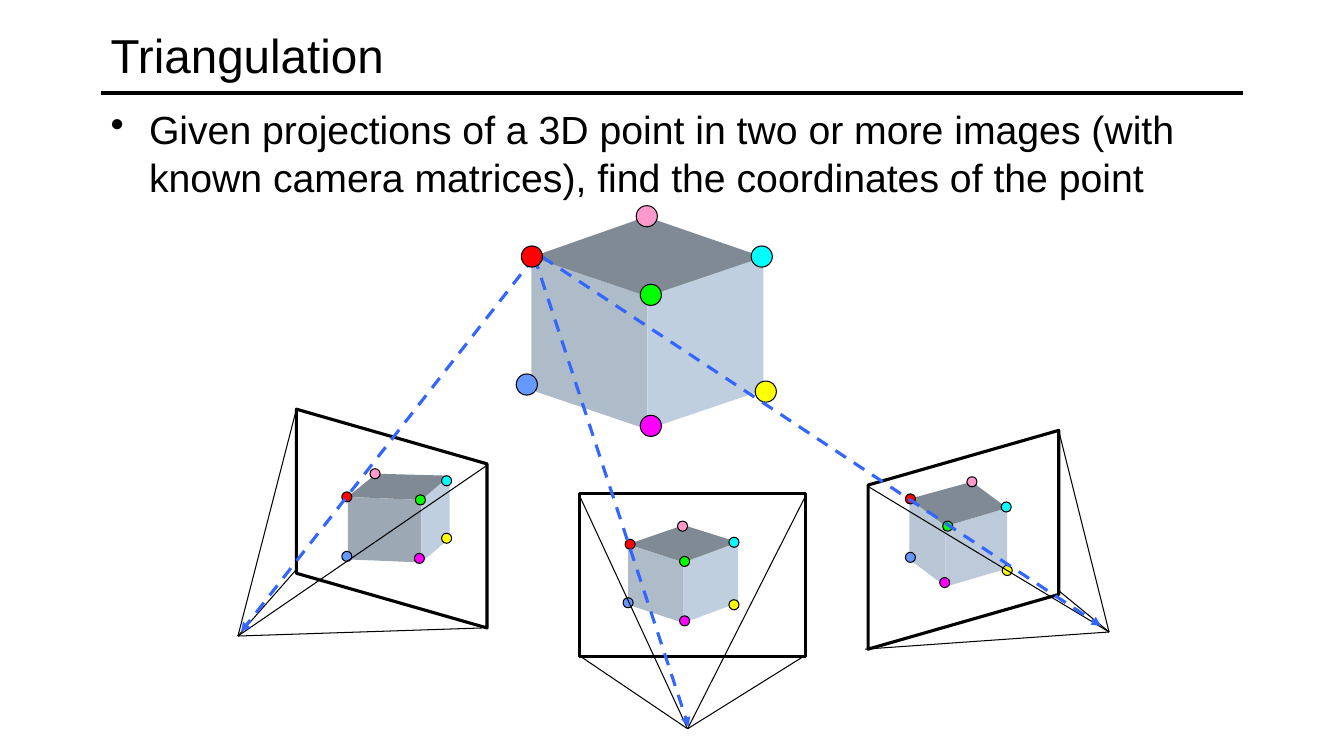
from dataclasses import dataclass
from typing import Any

from lxml.etree import SubElement
from pptx import Presentation
from pptx.dml.color import RGBColor
from pptx.enum.dml import MSO_LINE
from pptx.enum.shapes import MSO_CONNECTOR as Connector, MSO_SHAPE as Preset
from pptx.enum.text import MSO_ANCHOR as Anchor
from pptx.oxml.ns import qn
from pptx.util import Cm, Pt

Point = tuple[float, float]


@dataclass(frozen=True)
class Theme:
    font: str = "Arial"
    title_size: float = 34
    body_size: float = 28
    black: str = "000000"
    ray: str = "3366FF"
    cube_top: str = "808A94"
    # red, green, blue, magenta, yellow, cyan, pink
    corners: tuple[str, ...] = ("FF0101", "00FF00", "6699FF", "FF00FF",
                                "FFFF00", "00FFFF", "FF99CC")
    thin: float = 0.75
    medium: float = 2.25
    thick: float = 3


@dataclass(frozen=True)
class Cube:
    """Corners of the top face, height of the sides and their colours."""
    red: Point
    pink: Point
    cyan: Point
    green: Point
    height: float
    left_color: str
    right_color: str


@dataclass(frozen=True)
class Frame:
    preset: Any
    box: tuple[float, float, float, float]
    rotation: float = 0
    flipped: bool = False


@dataclass(frozen=True)
class Camera:
    frame: Frame
    cube: Cube
    center: Point
    sight_lines: tuple[Point, ...]  # frame corners behind the dots
    front_line: Point               # frame corner in front of the dots
    dots: tuple[Point, ...]
    ray: tuple[Point, Point]


THEME = Theme()
DOT, BIG_DOT = 0.1, 0.21
RED_POINT = (5.17, 2.44)
SCENE_CUBE = Cube((5.27, 2.55), (6.41, 2.15), (7.57, 2.55), (6.42, 2.94), 1.32,
                  "AEBBC9", "C0CFDF")
SCENE_DOTS = ((6.35, 2.82), (5.12, 3.71), (6.35, 4.12), (7.49, 3.78),
              (7.45, 2.44), (6.31, 2.04))
CAMERAS = (
    Camera(Frame(Preset.PARALLELOGRAM, (2.8, 4.2, 2.17, 1.89), 90),
           Cube((3.45, 4.93), (3.73, 4.7), (4.46, 4.72), (4.18, 4.96), 0.62,
                "9CA8B4", "C0CFDF"),
           (2.36, 6.31), ((2.94, 4.06), (2.94, 5.65), (4.78, 6.23)), (4.84, 4.61),
           ((3.39, 4.88), (4.12, 4.91), (3.39, 5.47), (4.11, 5.49),
            (4.38, 5.29), (4.38, 4.72), (3.67, 4.65)),
           ((5.3, 2.55), (2.39, 6.27))),
    Camera(Frame(Preset.RECTANGLE, (5.75, 4.9, 2.24, 1.61)),
           Cube((6.23, 5.4), (6.78, 5.21), (7.32, 5.38), (6.78, 5.58), 0.6,
                "AEBBC9", "C0CFDF"),
           (6.82, 7.23), ((7.99, 4.92), (5.74, 6.5), (7.99, 6.5)), (5.74, 4.9),
           ((6.2, 5.35), (6.74, 5.52), (6.18, 5.93), (6.74, 6.11),
            (7.23, 5.95), (7.23, 5.33), (6.72, 5.17)),
           ((5.3, 2.55), (6.83, 7.21))),
    Camera(Frame(Preset.PARALLELOGRAM, (8.47, 4.41, 2.17, 1.89), 270, True),
           Cube((9.02, 4.95), (9.64, 4.78), (9.99, 5.04), (9.38, 5.22), 0.6,
                "B8C6D5", "BCCAD9"),
           (11, 6.27), ((8.58, 6.44), (10.5, 5.86), (10.5, 4.27)), (8.6, 4.82),
           ((8.98, 4.9), (9.35, 5.17), (8.98, 5.48), (9.32, 5.73),
            (9.94, 5.61), (9.93, 4.98), (9.59, 4.73)),
           ((5.38, 2.55), (10.92, 6.21))),
)


def length(inches: float) -> Cm:
    return Cm(inches * 2.54)


def color(code: str) -> RGBColor:
    return RGBColor.from_string(code)


def add_line(shapes: Any, start: Point, end: Point, width: float,
             line_color: str = THEME.black) -> Any:
    line = shapes.add_connector(Connector.STRAIGHT, *map(length, start + end))
    line.line.color.rgb = color(line_color)
    line.line.width = Pt(width)
    SubElement(line._element.spPr, qn("a:effectLst"))
    return line


def add_ray(shapes: Any, start: Point, end: Point) -> None:
    ray = add_line(shapes, start, end, THEME.medium, THEME.ray)
    ray.line.dash_style = MSO_LINE.DASH
    SubElement(ray.line._get_or_add_ln(), qn("a:tailEnd"), type="triangle")


def add_dot(shapes: Any, corner: Point, size: float, fill: str) -> None:
    dot = shapes.add_shape(Preset.OVAL, *map(length, corner + (size, size)))
    dot.shadow.inherit = False
    dot.fill.solid()
    dot.fill.fore_color.rgb = color(fill)
    dot.line.color.rgb = color(THEME.black)
    dot.line.width = Pt(THEME.thin)


def add_cube(shapes: Any, cube: Cube) -> None:
    blue, magenta, yellow = ((x, y + cube.height)
                             for x, y in (cube.red, cube.green, cube.cyan))
    faces = (
        ((cube.red, cube.green, magenta, blue), cube.left_color),
        ((cube.green, cube.cyan, yellow, magenta), cube.right_color),
        ((cube.red, cube.pink, cube.cyan, cube.green), THEME.cube_top),
    )
    for points, fill in faces:
        start, *others = [(length(x), length(y)) for x, y in points]
        builder = shapes.build_freeform(*start)
        builder.add_line_segments(others, close=True)
        face = builder.convert_to_shape()
        face.shadow.inherit = False
        face.fill.solid()
        face.fill.fore_color.rgb = color(fill)
        face.line.fill.background()


def add_frame(shapes: Any, frame: Frame) -> None:
    shape = shapes.add_shape(frame.preset, *map(length, frame.box))
    shape.shadow.inherit = False
    shape.fill.background()
    shape.line.color.rgb = color(THEME.black)
    shape.line.width = Pt(THEME.medium)
    shape.rotation = frame.rotation
    if frame.preset == Preset.PARALLELOGRAM:
        shape.adjustments[0] = 0.287
    if frame.flipped:
        shape._element.spPr.find(qn("a:xfrm")).set("flipH", "1")


def add_text(shapes: Any, box: tuple[float, ...], text: str, size: float,
             anchor: Any, bullet: bool = False) -> None:
    frame = shapes.add_textbox(*map(length, box)).text_frame
    frame.word_wrap = True
    frame.vertical_anchor = anchor
    paragraph = frame.paragraphs[0]
    if bullet:
        properties = paragraph._p.get_or_add_pPr()
        indent = length(0.38)
        properties.set("marL", str(indent))
        properties.set("indent", str(-indent))
        SubElement(properties, qn("a:buChar"), char="•")
    run = paragraph.add_run()
    run.text = text
    run.font.name = THEME.font
    run.font.size = Pt(size)
    run.font.color.rgb = color(THEME.black)


def main() -> None:
    presentation = Presentation()
    presentation.slide_width, presentation.slide_height = length(13.33), length(7.5)
    shapes = presentation.slides.add_slide(presentation.slide_layouts[6]).shapes

    # Heading and statement
    add_line(shapes, (1, 0.92), (12.33, 0.92), THEME.thick)
    add_text(shapes, (1, 0.08, 11.33, 0.92), "Triangulation",
             THEME.title_size, Anchor.MIDDLE)
    add_text(shapes, (1, 1, 11.33, 5.75),
             "Given projections of a 3D point in two or more images (with known "
             "camera matrices), find the coordinates of the point",
             THEME.body_size, Anchor.TOP, bullet=True)

    # Scene cube and the three camera views
    add_cube(shapes, SCENE_CUBE)
    for camera in CAMERAS:
        add_frame(shapes, camera.frame)
        add_cube(shapes, camera.cube)
        for corner in camera.sight_lines:
            add_line(shapes, corner, camera.center, THEME.thin)
        projections = shapes.add_group_shape().shapes
        for dot, fill in zip(camera.dots, THEME.corners):
            add_dot(projections, dot, DOT, fill)

    # Scene points, front sight lines and rays; the red point lies on top
    for dot, fill in zip(SCENE_DOTS, THEME.corners[1:]):
        add_dot(shapes, dot, BIG_DOT, fill)
    for camera in CAMERAS:
        add_line(shapes, camera.front_line, camera.center, THEME.thin)
    for camera in CAMERAS:
        add_ray(shapes, *camera.ray)
    add_dot(shapes, RED_POINT, BIG_DOT, THEME.corners[0])

    presentation.save("out.pptx")


if __name__ == "__main__":
    main()
